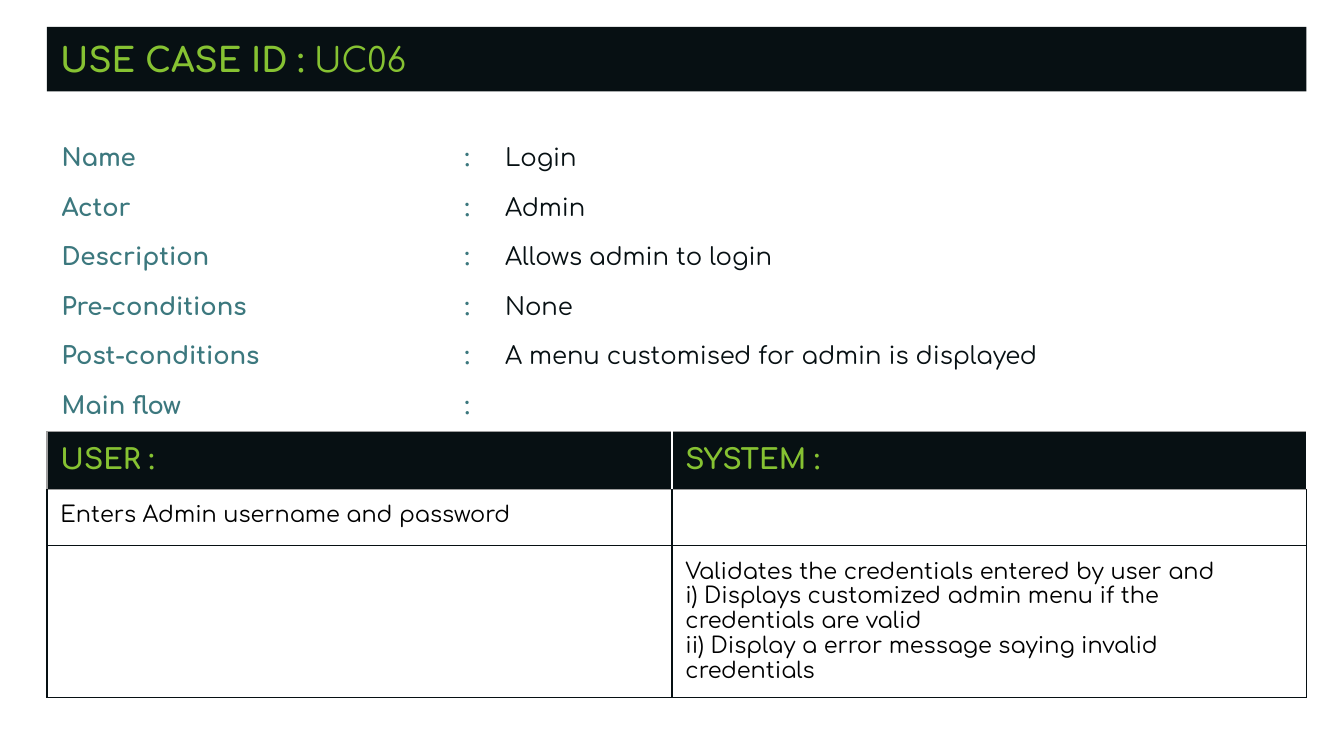
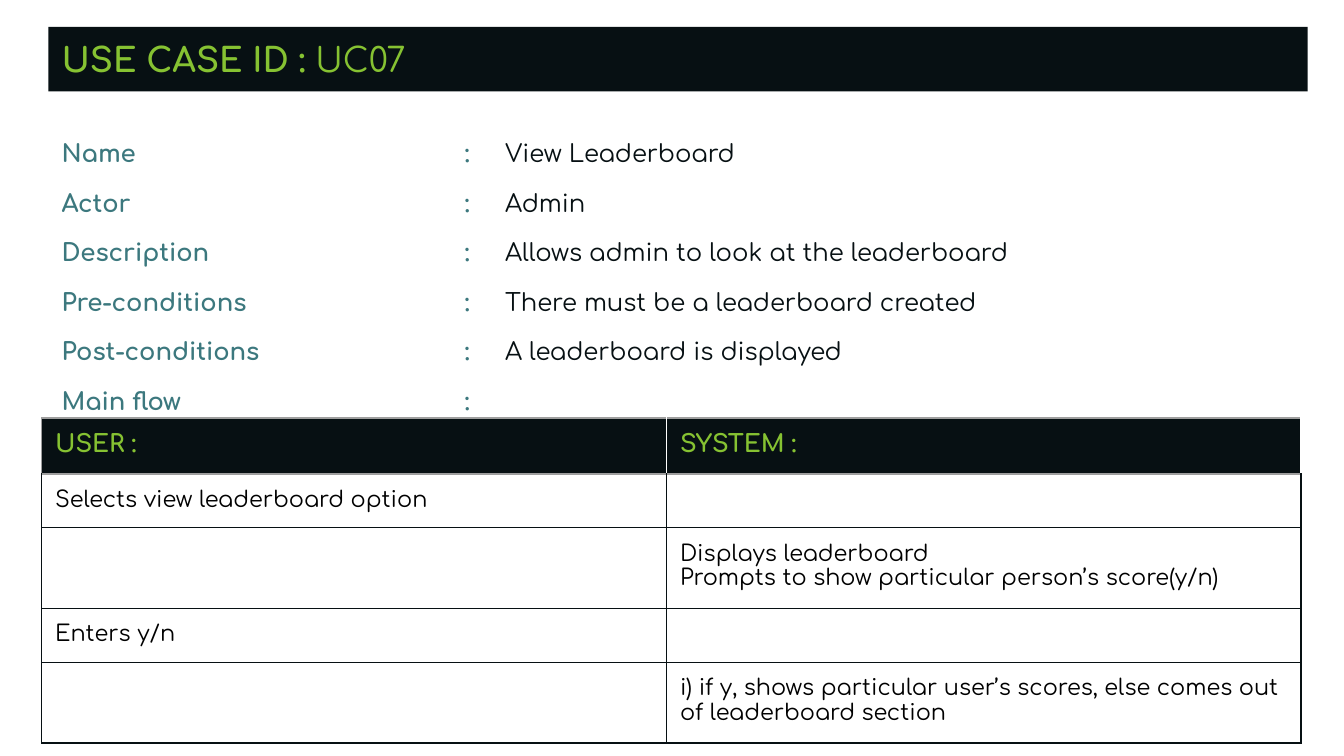
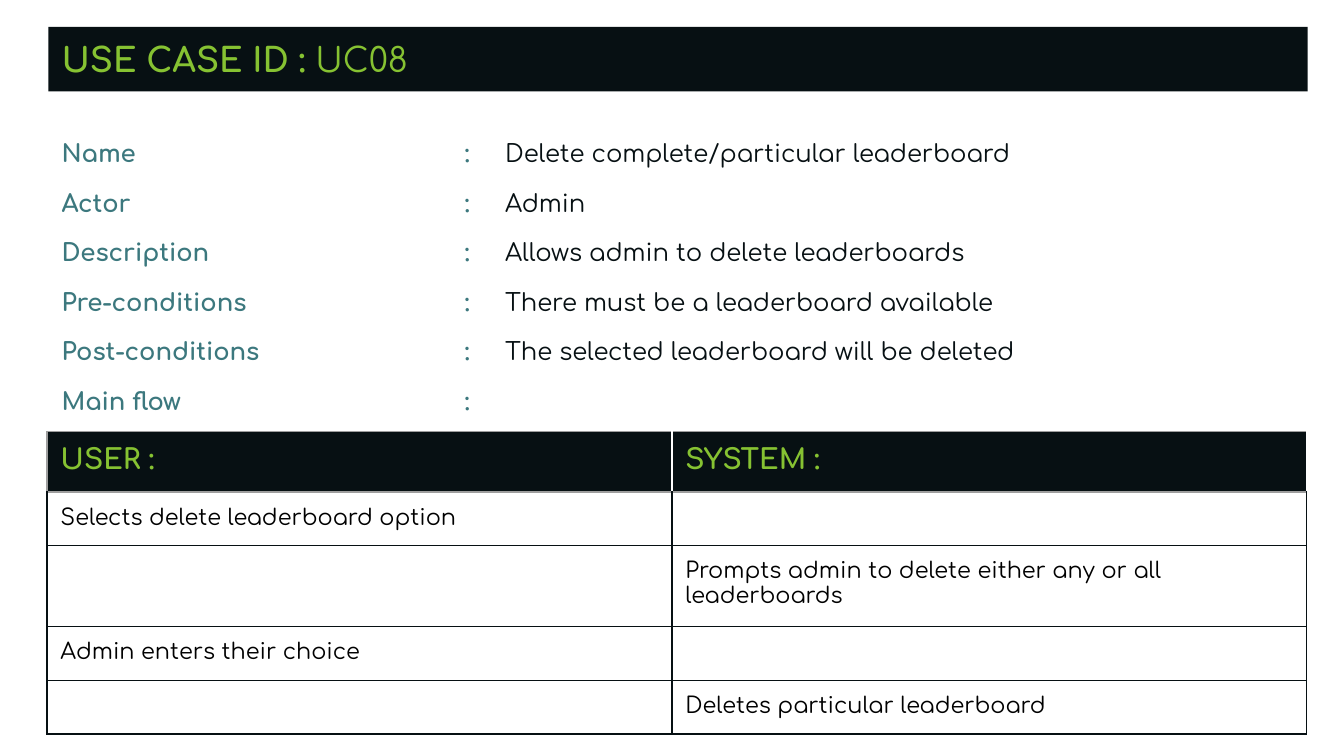
from dataclasses import dataclass

from lxml.etree import SubElement
from pptx import Presentation
from pptx.dml.color import RGBColor
from pptx.enum.shapes import MSO_SHAPE
from pptx.enum.text import MSO_ANCHOR, PP_ALIGN
from pptx.oxml.ns import qn
from pptx.util import Inches, Pt


@dataclass(frozen=True)
class Theme:
    font: str = "Comfortaa"
    dark: str = "071013"
    green: str = "86C232"
    teal: str = "3C787E"
    black: str = "000000"
    grey: str = "9E9E9E"
    white: str = "FFFFFF"
    title_size: int = 18
    field_size: int = 13
    cell_size: int = 12
    border: float = 0.75
    inset: float = 0.1


THEME = Theme()
SLIDE_WIDTH = 10
CONTENT_WIDTH = 9.37
COLUMN_WIDTHS = (4.65, 4.72)
FIELD_NAMES = ("Name", "Actor", "Description", "Pre-conditions", "Post-conditions", "Main flow")
FIELD_TABS = (3.0, 3.3)
HEADINGS = ("USER :", "SYSTEM :")


@dataclass
class UseCase:
    code: str
    values: tuple
    flow: list  # one (user, system) pair per step
    row_heights: tuple  # least heights; rows grow with their text
    band_left: float = 0.36
    fields_top: float = 0.78
    table_left: float = 0.35
    table_top: float = 3.21
    heading_size: int = 15


USE_CASES = [
    UseCase(
        "UC06",
        ("Login", "Admin", "Allows admin to login", "None",
         "A menu customised for admin is displayed", ""),
        [("Enters Admin username and password", ""),
         ("", "Validates the credentials entered by user and\n"
              "i) Displays customized admin menu if the credentials are valid\n"
              "ii) Display a error message saying invalid credentials")],
        (0.37, 0.42, 0.37), band_left=0.35, fields_top=0.81),
    UseCase(
        "UC07",
        ("View Leaderboard", "Admin", "Allows admin to look at the leaderboard",
         "There must be a leaderboard created", "A leaderboard is displayed", ""),
        [("Selects view leaderboard option", ""),
         ("", "Displays leaderboard\nPrompts to show particular person’s score(y/n)"),
         ("Enters y/n", ""),
         ("", "i) if y, shows particular user’s scores, else comes out of leaderboard section")],
        (0.37, 0.28, 0.43, 0.32, 0.31), table_left=0.31, table_top=3.11, heading_size=13),
    UseCase(
        "UC08",
        ("Delete complete/particular leaderboard", "Admin", "Allows admin to delete leaderboards",
         "There must be a leaderboard available", "The selected leaderboard will be deleted", ""),
        [("Selects delete leaderboard option", ""),
         ("", "Prompts admin to delete either any or all leaderboards"),
         ("Admin enters their choice", ""),
         ("", "Deletes particular leaderboard")],
        (0.37, 0.35, 0.37, 0.32, 0.31)),
]


def add_span(para, text, size, color, bold=False):
    span = para.add_run()
    span.text = text
    span.font.name = THEME.font
    span.font.size = Pt(size)
    span.font.bold = bold
    span.font.color.rgb = RGBColor.from_string(color)


def set_insets(holder):
    """Give a text frame or a table cell the shared margins."""
    holder.margin_left = holder.margin_right = Inches(THEME.inset)
    holder.margin_top = holder.margin_bottom = Inches(THEME.inset)


def add_title_band(page, case):
    band = page.shapes.add_shape(
        MSO_SHAPE.RECTANGLE, Inches(case.band_left), Inches(0.2),
        Inches(CONTENT_WIDTH), Inches(0.48))
    band.shadow.inherit = False
    band.fill.solid()
    band.fill.fore_color.rgb = RGBColor.from_string(THEME.dark)
    band.line.fill.background()
    frame = band.text_frame
    frame.word_wrap = True
    frame.vertical_anchor = MSO_ANCHOR.MIDDLE
    set_insets(frame)
    para = frame.paragraphs[0]
    para.alignment = PP_ALIGN.LEFT
    add_span(para, "USE CASE ID : ", THEME.title_size, THEME.green, bold=True)
    add_span(para, case.code, THEME.title_size, THEME.green)


def add_tab_stops(para):
    tabs = SubElement(para._p.get_or_add_pPr(), qn("a:tabLst"))
    for stop in FIELD_TABS:
        SubElement(tabs, qn("a:tab"), pos=str(Inches(stop)), algn="l")


def add_fields(page, case):
    box = page.shapes.add_textbox(
        Inches(0.36), Inches(case.fields_top), Inches(9.28), Inches(2.33))
    frame = box.text_frame
    frame.word_wrap = True
    set_insets(frame)
    para = frame.paragraphs[0]
    for name, value in zip(FIELD_NAMES, case.values):
        if name == "Description":
            # The description shares a paragraph with the actor
            para.add_line_break()
        else:
            if para.runs:
                para = frame.add_paragraph()
            add_tab_stops(para)
            para.line_spacing = 1.7
        label = f"{name}\t:\t" if value else f"{name}\t:"
        add_span(para, label, THEME.field_size, THEME.teal, bold=True)
        if value:
            add_span(para, value, THEME.field_size, THEME.dark)


def set_borders(cell, left, right, top, bottom):
    properties = cell._tc.get_or_add_tcPr()
    for side, color in zip("LRTB", (left, right, top, bottom)):
        line = SubElement(properties, qn(f"a:ln{side}"), w=str(Pt(THEME.border)))
        fill = SubElement(line, qn("a:solidFill"))
        SubElement(fill, qn("a:srgbClr"), val=color)


def fill_cell(cell, text, size, color, bold=False):
    set_insets(cell)
    frame = cell.text_frame
    for index, line in enumerate(text.split("\n")):
        para = frame.add_paragraph() if index else frame.paragraphs[0]
        if line:
            add_span(para, line, size, color, bold)
        else:
            # An empty cell keeps the body type size so its row does not grow
            end = SubElement(para._p, qn("a:endParaRPr"), sz=str(size * 100))
            SubElement(end, qn("a:latin"), typeface=THEME.font)


def add_flow_table(page, case):
    table = page.shapes.add_table(
        len(case.flow) + 1, len(HEADINGS), Inches(case.table_left), Inches(case.table_top),
        Inches(CONTENT_WIDTH), Inches(sum(case.row_heights))).table
    table.first_row = table.horz_banding = False
    for column, width in zip(table.columns, COLUMN_WIDTHS):
        column.width = Inches(width)
    for row, height in zip(table.rows, case.row_heights):
        row.height = Inches(height)

    # Heading row
    for index, heading in enumerate(HEADINGS):
        cell = table.cell(0, index)
        left = THEME.white if index else THEME.grey
        set_borders(cell, left, THEME.white, THEME.grey, THEME.grey)
        cell.fill.solid()
        cell.fill.fore_color.rgb = RGBColor.from_string(THEME.dark)
        fill_cell(cell, heading, case.heading_size, THEME.green, bold=True)

    # Steps
    for number, step in enumerate(case.flow, start=1):
        top = THEME.grey if number == 1 else THEME.dark
        for index, text in enumerate(step):
            cell = table.cell(number, index)
            set_borders(cell, THEME.dark, THEME.dark, top, THEME.dark)
            cell.fill.background()
            fill_cell(cell, text, THEME.cell_size, THEME.black)


def main():
    deck = Presentation()
    deck.slide_width = Inches(SLIDE_WIDTH)
    deck.slide_height = Inches(SLIDE_WIDTH * 9 / 16)
    for case in USE_CASES:
        page = deck.slides.add_slide(deck.slide_layouts[6])
        add_flow_table(page, case)
        add_fields(page, case)
        add_title_band(page, case)
    deck.save("out.pptx")


if __name__ == "__main__":
    main()
